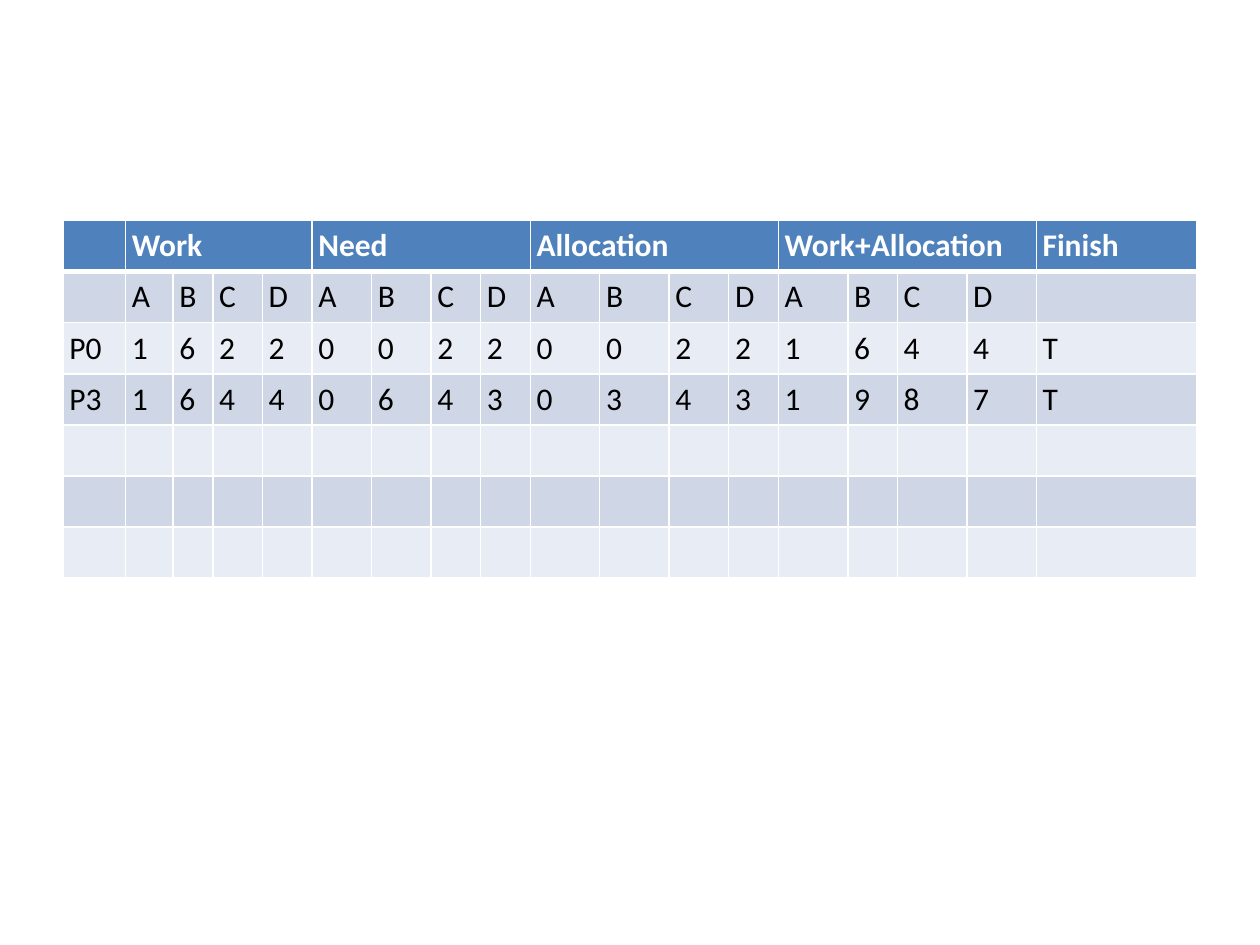
from lxml import etree
from pptx import Presentation
from pptx.dml.color import RGBColor
from pptx.oxml.ns import qn
from pptx.util import Pt

BLANK_LAYOUT = 6
FONT = "Calibri"
COLORS = {
    "header": "4F81BD",
    "band_dark": "CFD7E7",
    "band_light": "E8ECF4",
    "border": "FFFFFF",
    "header_text": "FFFFFF",
    "body_text": "000000",
}

# Banker's algorithm trace: Work, Need, Allocation and Work+Allocation per process
RESOURCES = "ABCD"
VECTORS = ["Work", "Need", "Allocation", "Work+Allocation"]
STEPS = [
    ["P0", *"1622", *"0022", *"0022", *"1644", "T"],
    ["P3", *"1644", *"0643", *"0343", *"1987", "T"],
]
EMPTY_STEPS = 3
COLUMN_WEIGHTS = [6.3, 4.8, 4, 5, 5, 6, 6, 5, 5, 7, 7, 6, 5, 7, 5, 7, 7, 16.2]


def write_text(cell, text, size=18, color="body_text", bold=False):
    paragraph = cell.text_frame.paragraphs[0]
    paragraph.font.size = Pt(size)
    if text:
        run = paragraph.add_run()
        run.text = text
        run.font.name = FONT
        run.font.size = Pt(size)
        run.font.bold = bold
        run.font.color.rgb = RGBColor.from_string(COLORS[color])


def set_borders(cell, top=1, bottom=1):
    properties = cell._tc.get_or_add_tcPr()
    widths = {"a:lnL": 1, "a:lnR": 1, "a:lnT": top, "a:lnB": bottom}
    for position, (side, width) in enumerate(widths.items()):
        line = etree.Element(qn(side), w=str(Pt(width)))
        fill = etree.SubElement(line, qn("a:solidFill"))
        etree.SubElement(fill, qn("a:srgbClr"), val=COLORS["border"])
        properties.insert(position, line)


def format_cell(cell, fill, top=1, bottom=1):
    cell.fill.solid()
    cell.fill.fore_color.rgb = RGBColor.from_string(COLORS[fill])
    cell.margin_left = cell.margin_right = Pt(3.6)
    cell.margin_top = cell.margin_bottom = Pt(3.6)
    set_borders(cell, top, bottom)


def add_safety_table(slide, left, top, width, height):
    column_count = len(COLUMN_WEIGHTS)
    group_size = len(RESOURCES)
    heading = [""]
    for vector in VECTORS:
        heading += [vector] + [""] * (group_size - 1)
    heading.append("Finish")
    resource_row = ["", *(RESOURCES * len(VECTORS)), ""]
    rows = [heading, resource_row, *STEPS]
    rows += [[""] * column_count for _ in range(EMPTY_STEPS)]

    table = slide.shapes.add_table(
        len(rows), column_count, Pt(left), Pt(top), Pt(width), Pt(height)
    ).table
    for column, weight in zip(table.columns, COLUMN_WEIGHTS):
        column.width = Pt(width * weight / sum(COLUMN_WEIGHTS))

    # Header row, one merged cell for each vector
    for index, text in enumerate(heading):
        cell = table.cell(0, index)
        format_cell(cell, "header", bottom=3)
        write_text(cell, text, color="header_text", bold=True)
    for group in range(len(VECTORS)):
        first = 1 + group * group_size
        table.cell(0, first).merge(table.cell(0, first + group_size - 1))

    # Banded body rows
    for row_index, row in enumerate(rows[1:], start=1):
        band = "band_dark" if row_index % 2 else "band_light"
        for index, text in enumerate(row):
            cell = table.cell(row_index, index)
            format_cell(cell, band, top=3 if row_index == 1 else 1)
            write_text(cell, text)


def main():
    presentation = Presentation()
    presentation.slide_width = Pt(720)
    presentation.slide_height = Pt(540)
    slide = presentation.slides.add_slide(presentation.slide_layouts[BLANK_LAYOUT])
    add_safety_table(slide, left=36, top=126, width=648, height=204.4)
    presentation.save("out.pptx")


if __name__ == "__main__":
    main()
